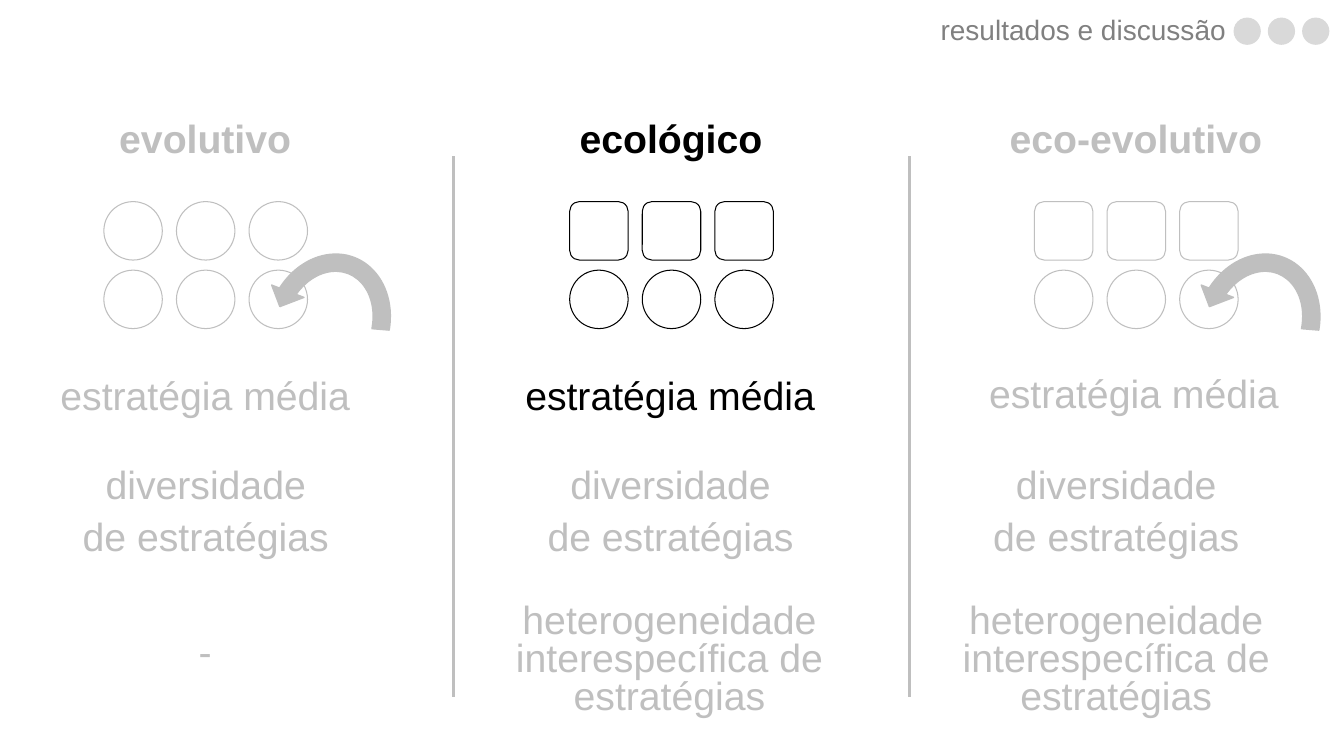
from dataclasses import dataclass

from lxml import etree
from pptx import Presentation
from pptx.dml.color import RGBColor
from pptx.enum import shapes, text
from pptx.oxml.ns import qn
from pptx.util import Inches, Pt

SHAPE = shapes.MSO_SHAPE
ALIGN = text.PP_ALIGN
ANCHOR = text.MSO_ANCHOR


@dataclass(frozen=True)
class Theme:
    font: str = "Arial"
    active: str = "000000"
    faded: str = "BFBFBF"
    title: str = "808080"
    dot: str = "D9D9D9"
    title_size: int = 20
    body_size: int = 28


@dataclass(frozen=True)
class Column:
    heading: str
    color: str
    heading_left: float
    grid_left: float
    top_shape: SHAPE
    mean_left: float
    mean_top: float
    diversity_left: float
    heterogeneity_left: float | None = None
    arrow_left: float | None = None


class SlideBuilder:
    def __init__(self, prs, theme):
        self.theme = theme
        self.slide = prs.slides.add_slide(prs.slide_layouts[5])

    def set_lines(self, sp, lines, color, size, bold=False, align=ALIGN.CENTER,
                  anchor=ANCHOR.TOP, spacing=0.9):
        """Fill a text shape with one paragraph per line."""
        tf = sp.text_frame
        tf.word_wrap = True
        tf.auto_size = text.MSO_AUTO_SIZE.NONE
        tf.vertical_anchor = anchor
        tf.text = "\n".join(lines)
        for i, p in enumerate(tf.paragraphs):
            p.alignment = align
            p.line_spacing = spacing
            p.space_before = Pt(10 if i else 0)
            for r in p.runs:
                r.font.name = self.theme.font
                r.font.size = Pt(size)
                r.font.bold = bold
                r.font.color.rgb = RGBColor.from_string(color)

    def title(self, line, left, top, width, height):
        sp = self.slide.shapes.title
        sp.left, sp.top = Inches(left), Inches(top)
        sp.width, sp.height = Inches(width), Inches(height)
        self.set_lines(sp, [line], self.theme.title, self.theme.title_size,
                       align=ALIGN.RIGHT, anchor=ANCHOR.MIDDLE)

    def label(self, lines, left, top, width, height, color=None, **style):
        sp = self.slide.shapes.add_textbox(
            Inches(left), Inches(top), Inches(width), Inches(height))
        self.set_lines(sp, lines, color or self.theme.faded,
                       self.theme.body_size, **style)

    def shape(self, kind, left, top, width, height, color, filled=True, line=0):
        sp = self.slide.shapes.add_shape(
            kind, Inches(left), Inches(top), Inches(width), Inches(height))
        sp.shadow.inherit = False
        if filled:
            sp.fill.solid()
            sp.fill.fore_color.rgb = RGBColor.from_string(color)
        else:
            sp.fill.background()
        sp.line.color.rgb = RGBColor.from_string(color)
        sp.line.width = Pt(line)
        return sp

    def species_grid(self, left, top_shape, color):
        """Two rows of three outlines, the lower row always circles."""
        for row, kind in enumerate((top_shape, SHAPE.OVAL)):
            for col in range(3):
                self.shape(kind, left + 0.72 * col, 2 + 0.68 * row,
                           0.58, 0.58, color, filled=False)

    def feedback_arrow(self, left):
        sp = self.shape(SHAPE.CIRCULAR_ARROW, left, 2.42, 1.37, 1.61,
                        self.theme.faded, line=1)
        for i, value in enumerate((0.125, 11.423, 204.577, 117.73, 0.125)):
            sp.adjustments[i] = value
        sp.rotation = 200.9
        sp._element.spPr.find(qn("a:xfrm")).set("flipV", "1")

    def divider(self, x):
        line = self.slide.shapes.add_connector(
            shapes.MSO_CONNECTOR.STRAIGHT,
            Inches(x), Inches(1.55), Inches(x), Inches(6.91))
        line.line.color.rgb = RGBColor.from_string(self.theme.faded)
        line.line.width = Pt(2.25)
        etree.SubElement(line._element.spPr, qn("a:effectLst"))

    def column(self, c):
        self.label([c.heading], c.heading_left, 0.67, 2.77, 1.45, c.color,
                   bold=True, anchor=ANCHOR.MIDDLE)
        self.species_grid(c.grid_left, c.top_shape, c.color)
        if c.arrow_left is not None:
            self.feedback_arrow(c.arrow_left)
        self.label(["estratégia média"], c.mean_left, c.mean_top, 3.51, 0.85,
                   c.color)
        self.label(["diversidade", "de estratégias"], c.diversity_left, 4.61,
                   5.08, 1.04, spacing=0.8)
        if c.heterogeneity_left is None:
            self.label(["-"], c.mean_left, 6.23, 3.51, 0.85)
        else:
            self.label(["heterogeneidade interespecífica de estratégias"],
                       c.heterogeneity_left, 5.95, 4.76, 1.33, spacing=0.8)


def main():
    prs = Presentation()
    prs.slide_width, prs.slide_height = Inches(13.33), Inches(7.5)
    theme = Theme()
    page = SlideBuilder(prs, theme)

    page.title("resultados e discussão", 7.78, 0.08, 4.48, 0.47)
    for i in range(3):
        page.shape(SHAPE.OVAL, 12.24 + 0.34 * i, 0.18, 0.26, 0.26, theme.dot)

    columns = (
        Column("evolutivo", theme.faded, 0.65, 1.03, SHAPE.OVAL,
               0.28, 3.69, -0.5, arrow_left=2.57),
        Column("ecológico", theme.active, 5.27, 5.65, SHAPE.ROUNDED_RECTANGLE,
               4.89, 3.69, 4.11, heterogeneity_left=4.26),
        Column("eco-evolutivo", theme.faded, 9.88, 10.26,
               SHAPE.ROUNDED_RECTANGLE, 9.49, 3.67, 8.53,
               heterogeneity_left=8.69, arrow_left=11.79),
    )
    for column in columns:
        page.column(column)
    for x in (4.5, 9.02):
        page.divider(x)

    prs.save("out.pptx")


if __name__ == "__main__":
    main()
